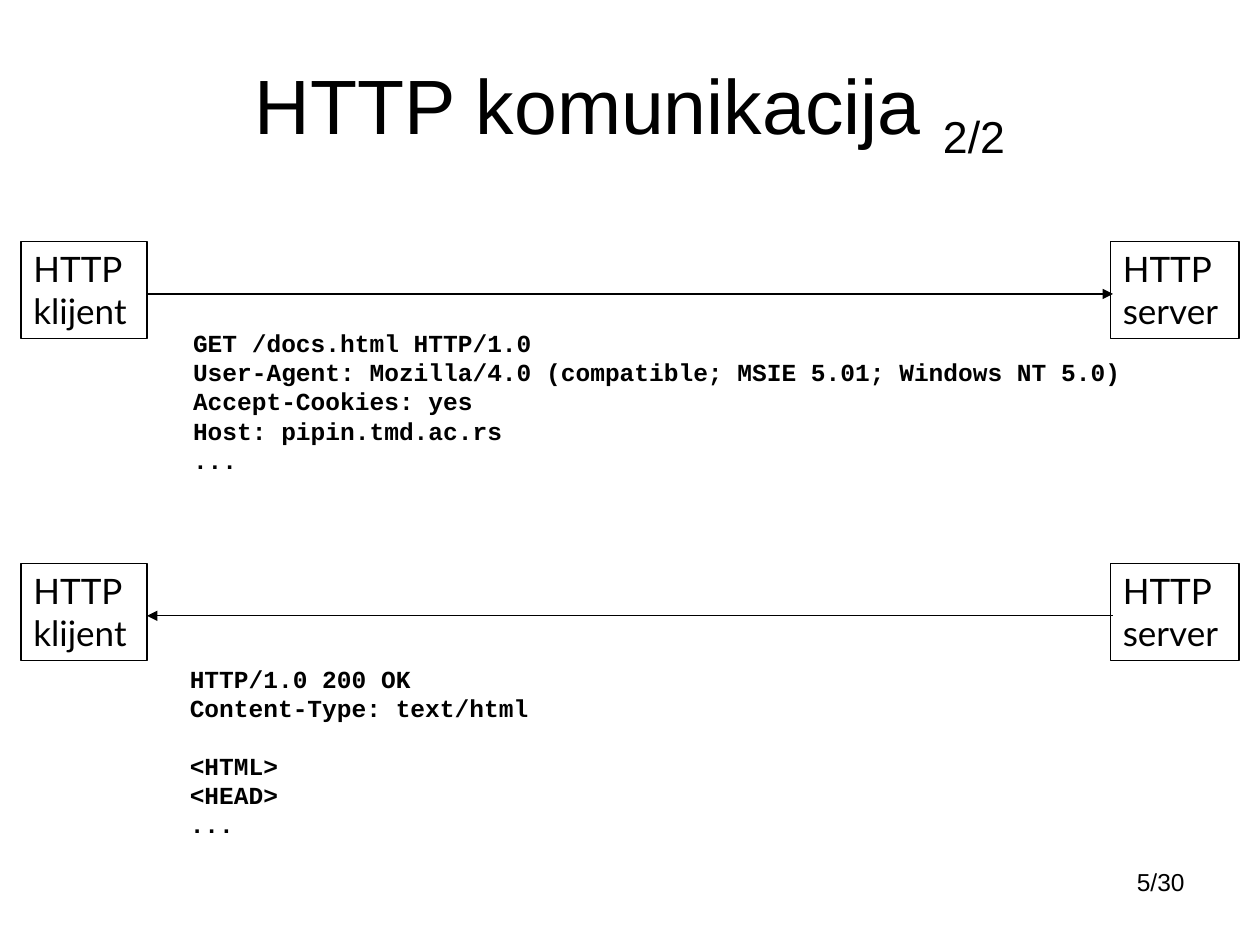
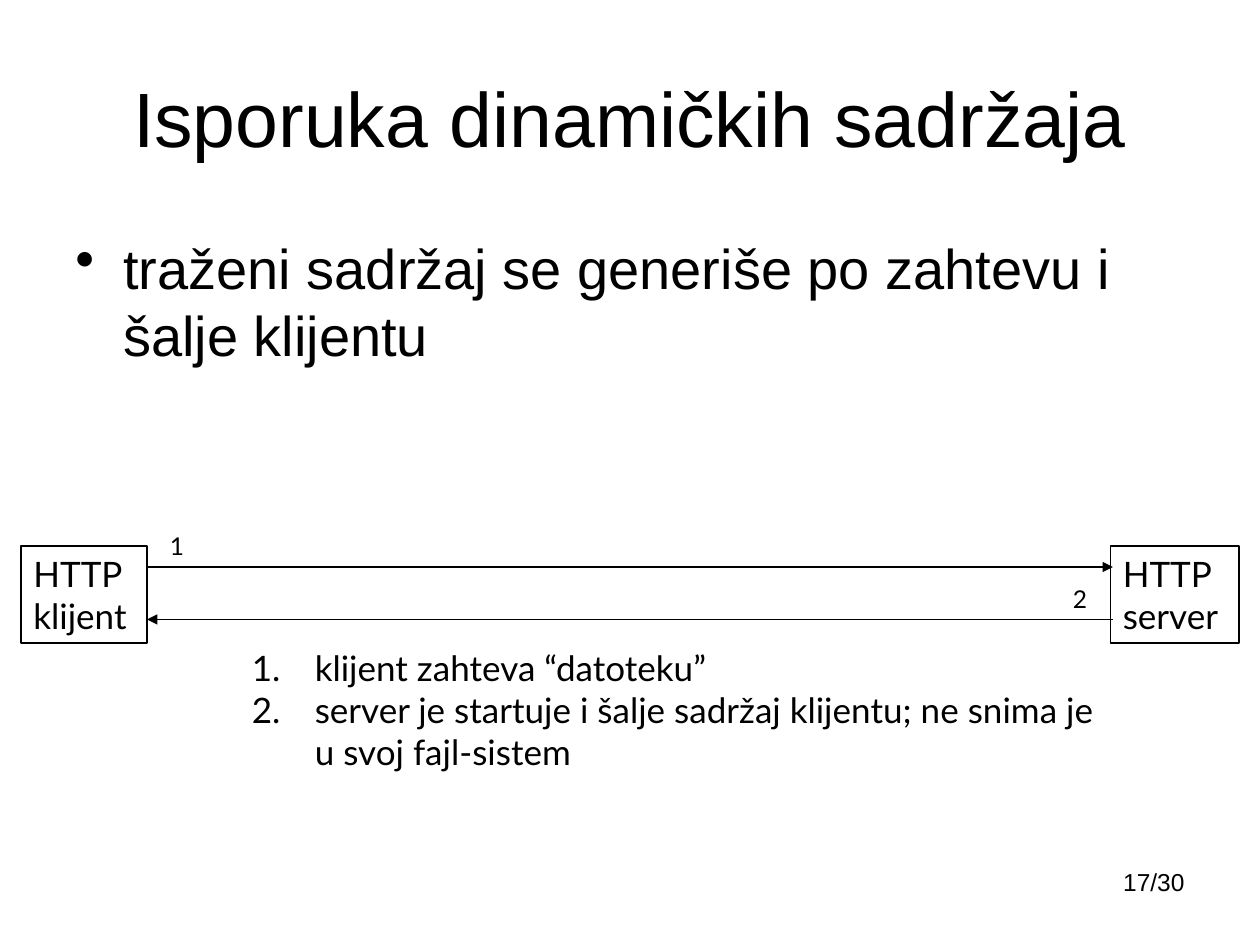
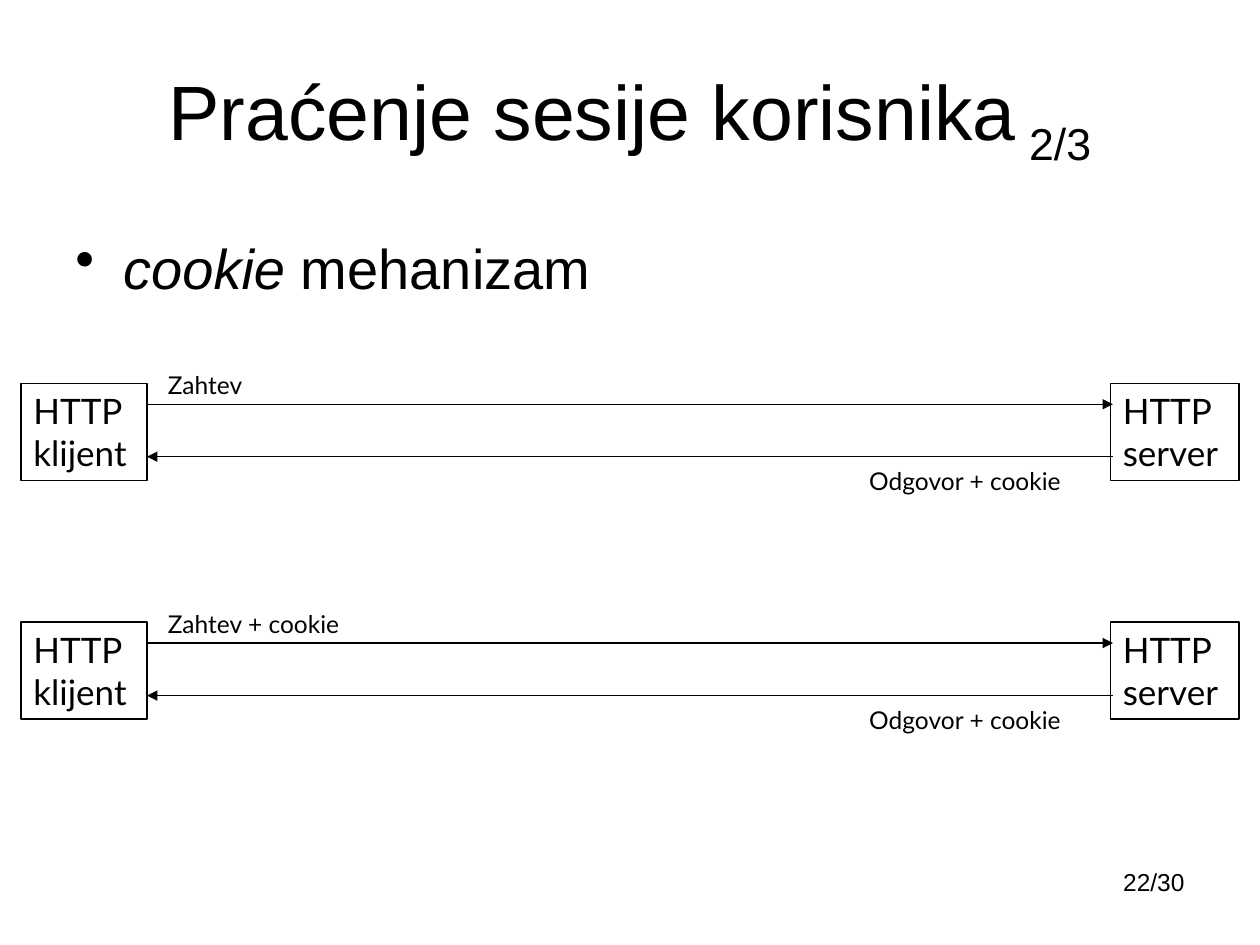
import pptx
import pptx.util
import pptx.dml.color
import pptx.enum.shapes
import pptx.enum.text
import pptx.oxml.ns
import lxml.etree

BLACK = pptx.dml.color.RGBColor(0, 0, 0)
SANS, MONO, LABEL = "Arial", "Courier New", "Lato"
LEFT, MID, RIGHT = (pptx.enum.text.PP_ALIGN.LEFT, pptx.enum.text.PP_ALIGN.CENTER,
                    pptx.enum.text.PP_ALIGN.RIGHT)
TOP, CENTRE = pptx.enum.text.MSO_ANCHOR.TOP, pptx.enum.text.MSO_ANCHOR.MIDDLE
COLS, ROWS = 120, 90
WIDE, HIGH = pptx.util.Inches(10), pptx.util.Inches(7.5)

TITLE = (6, 3.6, 108, 15)
FOOT = (86, 82, 28, 6.25)
LANE = 9.25
REQUEST, REPLY = "tailEnd", "headEnd"


def place(*box):
    sizes = (WIDE / COLS, HIGH / ROWS) * 2
    return [round(part * size) for part, size in zip(box, sizes)]


def add(parent, tag, **attrs):
    return lxml.etree.SubElement(parent, pptx.oxml.ns.qn(tag), attrs)


def write(shape, lines, size, face, align=LEFT, anchor=TOP, bold=None, mark=None, indent=0):
    frame = shape.text_frame
    frame.word_wrap = True
    frame.vertical_anchor = anchor
    for index, line in enumerate(lines):
        para = frame.paragraphs[0] if index == 0 else frame.add_paragraph()
        para.text = line
        para.alignment = align
        if mark:
            props = para._p.get_or_add_pPr()
            step = pptx.util.Inches(indent)
            props.set("marL", str(step))
            props.set("indent", str(-step))
            add(props, mark[0], **mark[1])
        font = para.font
        font.size = pptx.util.Pt(size)
        font.name = face
        font.bold = bold
        font.color.rgb = BLACK
    return frame.paragraphs


def note(slide, box, lines, size, face, **style):
    return write(slide.shapes.add_textbox(*place(*box)), lines, size, face, **style)


def page(deck, title, number, part="", box=TITLE):
    slide = deck.slides.add_slide(deck.slide_layouts[6])
    note(slide, FOOT, [f"{number}/30"], 14, SANS, align=RIGHT)
    para = note(slide, box, [title], 44, SANS, align=MID, anchor=CENTRE)[0]
    if part:
        run = para.add_run()
        run.text = part
        run.font._element.set("baseline", "-25000")
    return slide


def body(slide, text, rows):
    mark = ("a:buChar", {"char": "•"})
    return note(slide, (6, 21.6, 108, rows), [text], 32, SANS, mark=mark, indent=0.38)[0]


def node(slide, box, name):
    shape = slide.shapes.add_shape(pptx.enum.shapes.MSO_SHAPE.RECTANGLE, *place(*box))
    shape.shadow.inherit = False
    shape.fill.background()
    shape.line.color.rgb = BLACK
    shape.line.width = pptx.util.Pt(0.75)
    write(shape, ["HTTP", name], 20, LABEL)


def arrow(slide, left, right, row, head):
    line = slide.shapes.add_connector(pptx.enum.shapes.MSO_CONNECTOR.STRAIGHT,
                                      *place(left, row, right, row))
    line.line.color.rgb = BLACK
    line.line.width = pptx.util.Pt(0.75)
    add(line.line._get_or_add_ln(), "a:" + head, type="triangle")
    add(line._element.spPr, "a:effectLst")


def lane(slide, row, arrows, labels=()):
    left = 2
    node(slide, (left, row, 12, LANE), "klijent")
    node(slide, (left + 103.75, row, 12.25, LANE), "server")
    for drop, head in arrows:
        arrow(slide, left + 12, left + 104, row + drop, head)
    for text, col, drop, width in labels:
        note(slide, (left + col, row + drop, width, 4.1), [text], 14, LABEL)


def talk(deck):
    slide = page(deck, "HTTP komunikacija ", 5, "2/2", (9, 3, 102, 15))
    lane(slide, 23, [(5, REQUEST)])
    note(slide, (17.2, 30.6, 93, 15.3), [
        "GET /docs.html HTTP/1.0",
        "User-Agent: Mozilla/4.0 (compatible; MSIE 5.01; Windows NT 5.0)",
        "Accept-Cookies: yes",
        "Host: pipin.tmd.ac.rs",
        "...",
    ], 14, MONO, bold=True)
    lane(slide, 53.65, [(5, REPLY)])
    lines = note(slide, (16.9, 62.65, 36, 18), [
        "HTTP/1.0 200 OK",
        "Content-Type: text/html",
        "<HTML>",
        "<HEAD>",
        "...",
    ], 14, MONO, bold=True)
    lines[2].space_before = pptx.util.Pt(15.86)


def serve(deck):
    slide = page(deck, "Isporuka dinamičkih sadržaja", 17)
    body(slide, "traženi sadržaj se generiše po zahtevu i šalje klijentu", 15)
    lane(slide, 52, [(2, REQUEST), (7, REPLY)], [("1", 13, -2, 3.7), ("2", 99, 3, 3.7)])
    note(slide, (22.8, 61, 88.7, 13.2), [
        "klijent zahteva “datoteku”",
        "server je startuje i šalje sadržaj klijentu; ne snima je\vu svoj fajl-sistem",
    ], 20, LABEL, mark=("a:buAutoNum", {"type": "arabicPeriod"}), indent=0.5)


def track(deck):
    slide = page(deck, "Praćenje sesije korisnika", 22, " 2/3")
    para = body(slide, "cookie", 9)
    para.runs[0].font.italic = True
    para.add_run().text = " mehanizam"
    for row, ask, width in ((36.5, "Zahtev", 10), (59.25, "Zahtev + cookie", 19.6)):
        lane(slide, row, [(2, REQUEST), (7, REPLY)],
             [(ask, 12.8, -1.85, width), ("Odgovor + cookie", 79.6, 7.3, 21.7)])


def main():
    deck = pptx.Presentation()
    deck.slide_width, deck.slide_height = WIDE, HIGH
    talk(deck)
    serve(deck)
    track(deck)
    deck.save("out.pptx")


if __name__ == "__main__":
    main()
